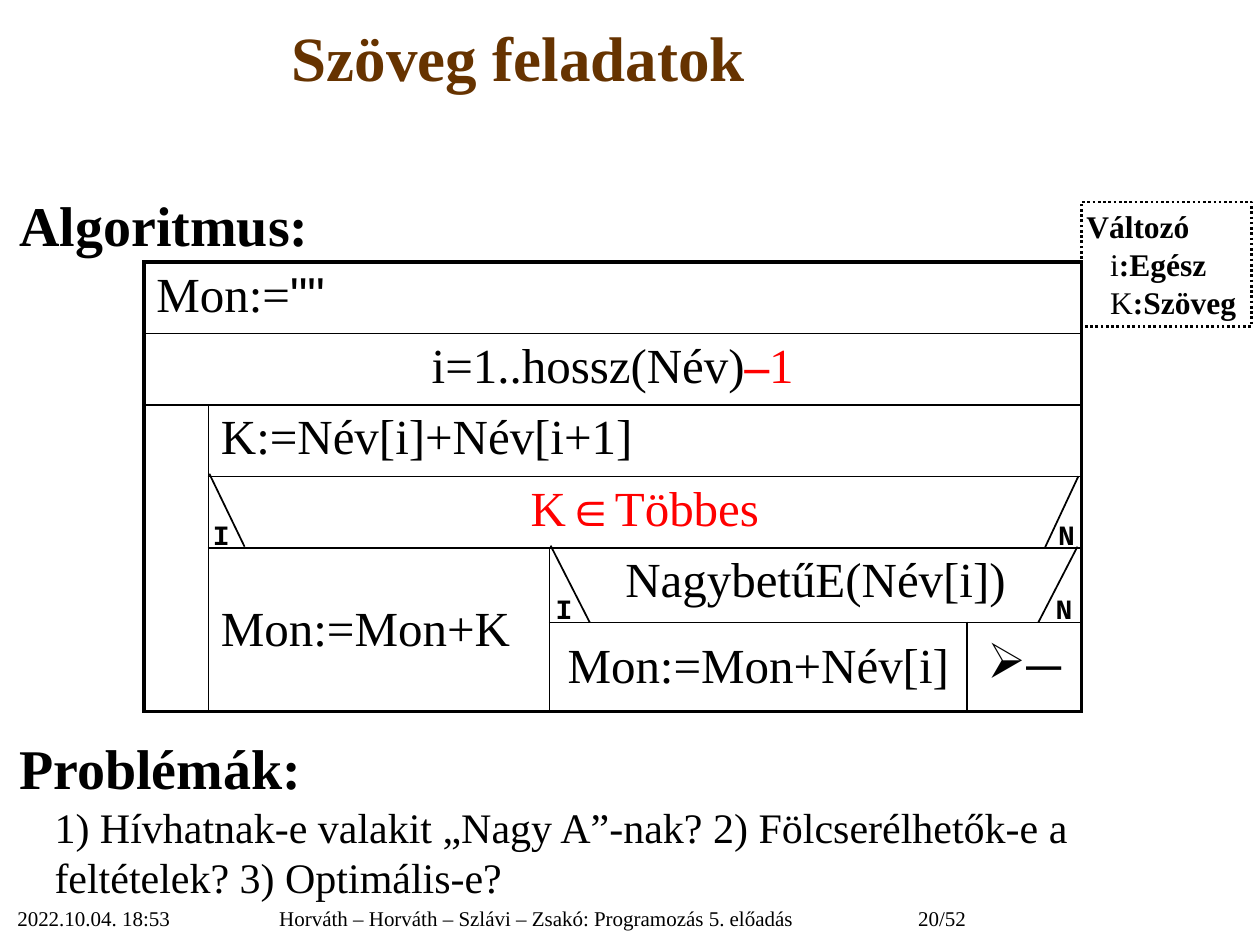
from dataclasses import dataclass

from lxml.etree import SubElement
from pptx import Presentation
from pptx.dml.color import RGBColor
from pptx.enum.dml import MSO_LINE_DASH_STYLE as Dash
from pptx.enum.shapes import MSO_CONNECTOR as Connector, MSO_SHAPE as Shape
from pptx.enum.text import MSO_ANCHOR as Anchor, PP_ALIGN as Align
from pptx.oxml.ns import qn
from pptx.util import Cm, Pt

SERIF = "Times New Roman"
MONO = "Courier New"
BLACK, RED, BROWN, WHITE = "000000", "FF0000", "663300", "FFFFFF"
THIN, THICK = 1, 2.25
PLAIN_TABLE_STYLE = "{2D5ABB26-0587-4C30-8999-92F81FD0307C}"


@dataclass(frozen=True)
class Run:
    text: str
    bold: bool = False
    color: str = BLACK
    font: str = SERIF
    size: float | None = None


@dataclass(frozen=True)
class Block:
    row: int
    column: int
    row_span: int = 1
    column_span: int = 1
    runs: tuple[Run, ...] = ()
    align: Align = Align.LEFT
    anchor: Anchor = Anchor.TOP
    sides: str = "LRTB"
    bullet: str = ""


@dataclass(frozen=True)
class Segment:
    x1: float
    y1: float
    x2: float
    y2: float


@dataclass(frozen=True)
class Label:
    text: str
    left: float
    top: float
    width: float


def paint(target, color: str) -> None:
    target.solid()
    target.fore_color.rgb = RGBColor.from_string(color)


def write(paragraph, *runs: Run, size: float, align=Align.LEFT, before: float = 0,
          margin: float = 0, indent: float = 0, bullet: str = "") -> None:
    paragraph.alignment = align
    paragraph.space_before = Pt(before)
    properties = paragraph._p.get_or_add_pPr()
    properties.set("marL", str(Cm(margin)))
    properties.set("indent", str(Cm(indent)))
    if bullet:
        SubElement(properties, qn("a:buChar"), char=bullet)
    for part in runs:
        if part.text == "\n":
            paragraph.add_line_break()
            continue
        run = paragraph.add_run()
        run.text = part.text
        run.font.name = part.font
        run.font.size = Pt(part.size or size)
        run.font.bold = part.bold
        paint(run.font.fill, part.color)


def add_box(slide, left: float, top: float, width: float, height: float, wrap: bool = True):
    box = slide.shapes.add_textbox(Cm(left), Cm(top), Cm(width), Cm(height))
    box.text_frame.word_wrap = wrap
    return box.text_frame


def add_segment(slide, segment: Segment) -> None:
    line = slide.shapes.add_connector(
        Connector.STRAIGHT, Cm(segment.x1), Cm(segment.y1), Cm(segment.x2), Cm(segment.y2))
    line.line.width = Pt(THIN)
    paint(line.line.fill, BLACK)
    SubElement(line._element.spPr, qn("a:effectLst"))


def add_border(cell, side: str, width: float) -> None:
    line = SubElement(cell._tc.get_or_add_tcPr(), qn(f"a:ln{side}"), w=str(Pt(width)))
    fill = SubElement(line, qn("a:solidFill"))
    SubElement(fill, qn("a:srgbClr"), val=BLACK)


def fill_block(table, block: Block) -> None:
    last_row = block.row + block.row_span - 1
    last_column = block.column + block.column_span - 1
    origin = table.cell(block.row, block.column)
    if (last_row, last_column) != (block.row, block.column):
        origin.merge(table.cell(last_row, last_column))
    outer = {
        "L": block.column == 0,
        "R": last_column == len(table.columns) - 1,
        "T": block.row == 0,
        "B": last_row == len(table.rows) - 1,
    }
    for row in range(block.row, last_row + 1):
        for column in range(block.column, last_column + 1):
            cell = table.cell(row, column)
            for side in block.sides:
                add_border(cell, side, THICK if outer[side] else THIN)
            paint(cell.fill, WHITE)
            if not block.runs:
                cell.margin_top = cell.margin_bottom = 0
    origin.vertical_anchor = block.anchor
    write(origin.text_frame.paragraphs[0], *block.runs, size=28,
          align=block.align, bullet=block.bullet)


def add_structogram(slide, blocks: list[Block]) -> None:
    widths = [1.3, 6.88, 8.41, 2.31]
    heights = [1.44] * 4 + [1.5] + [0.9] * 2
    table = slide.shapes.add_table(len(heights), len(widths), Cm(2.9), Cm(5.28),
                                   Cm(sum(widths)), Cm(sum(heights))).table
    table.first_row = table.horz_banding = False
    table._tbl.tblPr.find(qn("a:tableStyleId")).text = PLAIN_TABLE_STYLE
    for column, width in zip(table.columns, widths):
        column.width = Cm(width)
    for row, height in zip(table.rows, heights):
        row.height = Cm(height)
    for block in blocks:
        fill_block(table, block)


def add_variables(slide) -> None:
    shape = slide.shapes.add_shape(Shape.RECTANGLE, Cm(21.8), Cm(4.07), Cm(3.43), Cm(2.51))
    shape.shadow.inherit = False
    shape.fill.background()
    paint(shape.line.fill, BLACK)
    shape.line.width = Pt(1.5)
    shape.line.dash_style = Dash.ROUND_DOT
    frame = shape.text_frame
    frame.word_wrap = False
    frame.vertical_anchor = Anchor.MIDDLE
    frame.margin_left = frame.margin_right = frame.margin_top = frame.margin_bottom = Cm(0.1)
    write(frame.paragraphs[0], Run("Változó", bold=True), size=18)
    for name, kind in (("i", ":Egész"), ("K", ":Szöveg")):
        write(frame.add_paragraph(), Run(name), Run(kind, bold=True), size=18, margin=0.48)


BLOCKS = [
    Block(0, 0, 1, 4, (Run("Mon:="), Run('""', font="Arial"))),
    Block(1, 0, 1, 4, (Run("i=1..hossz(Név)"), Run("–", True, RED), Run("1", color=RED)),
          Align.CENTER, sides="LRT"),
    Block(2, 0, sides="LR"),
    Block(2, 1, 1, 3, (Run("K:=Név[i]+Név[i+1]"),)),
    Block(3, 0, 3, 1, sides="LR"),
    Block(3, 1, 1, 3, (Run("K∈Többes", color=RED),), Align.CENTER),
    Block(4, 1, 3, 1, (Run("Mon:=Mon+K"),), anchor=Anchor.MIDDLE),
    Block(4, 2, 1, 2, (Run("NagybetűE(Név[i])"),), Align.CENTER),
    Block(5, 2, 2, 1, (Run("Mon:=Mon+Név[i]"),), Align.CENTER, Anchor.MIDDLE),
    Block(5, 3, 2, 1, (Run("─"),), Align.CENTER, Anchor.MIDDLE, bullet="➢"),
    Block(6, 0, sides="LRB"),
]
BRANCH_LINES = [
    Segment(4.22, 9.55, 4.93, 11.02),
    Segment(11.1, 11, 11.89, 12.55),
    Segment(21.74, 9.6, 21.06, 11.05),
    Segment(21.72, 11.02, 20.93, 12.55),
]
BRANCH_LABELS = [
    Label("I", 10.95, 11.81, 0.81),
    Label("N", 21.03, 11.81, 0.81),
    Label("I", 4.04, 10.31, 0.81),
    Label("N", 21.08, 10.31, 0.81),
]
FOOTERS = [
    Label("2022.10.04. 18:53", 0.1, 18.14, 5.28),
    Label("Horváth – Horváth – Szlávi – Zsakó: Programozás 5. előadás", 5.38, 18.14, 12.88),
    Label("20/52", 18.26, 18.14, 3.23),
]


def main() -> None:
    presentation = Presentation()
    presentation.slide_width, presentation.slide_height = Cm(25.4), Cm(19.05)
    slide = presentation.slides.add_slide(presentation.slide_layouts[6])

    title = add_box(slide, 0, 0.24, 20.9, 2.95)
    write(title.paragraphs[0], Run("Szöveg feladatok", True, BROWN), size=36, align=Align.CENTER)

    body = add_box(slide, 0.11, 3.72, 24.82, 14.4)
    write(body.paragraphs[0], Run("Algoritmus:", True), size=32, margin=0.74, indent=-0.71)
    question = "1) Hívhatnak-e valakit „Nagy A”-nak? 2) Fölcserélhetők-e a feltételek? 3) Optimális-e?"
    write(body.add_paragraph(), Run("Problémák:", True), Run("\n"), Run(question, size=24),
          size=32, before=272, margin=0.74, indent=-0.71)

    add_structogram(slide, BLOCKS)
    for segment in BRANCH_LINES:
        add_segment(slide, segment)
    for label in BRANCH_LABELS:
        frame = add_box(slide, label.left, label.top, label.width, 0.94, wrap=False)
        write(frame.paragraphs[0], Run(label.text, True, font=MONO), size=16, align=Align.CENTER)
    add_variables(slide)
    for footer in FOOTERS:
        frame = add_box(slide, footer.left, footer.top, footer.width, 0.95)
        write(frame.paragraphs[0], Run(footer.text), size=12)

    presentation.save("out.pptx")


if __name__ == "__main__":
    main()
